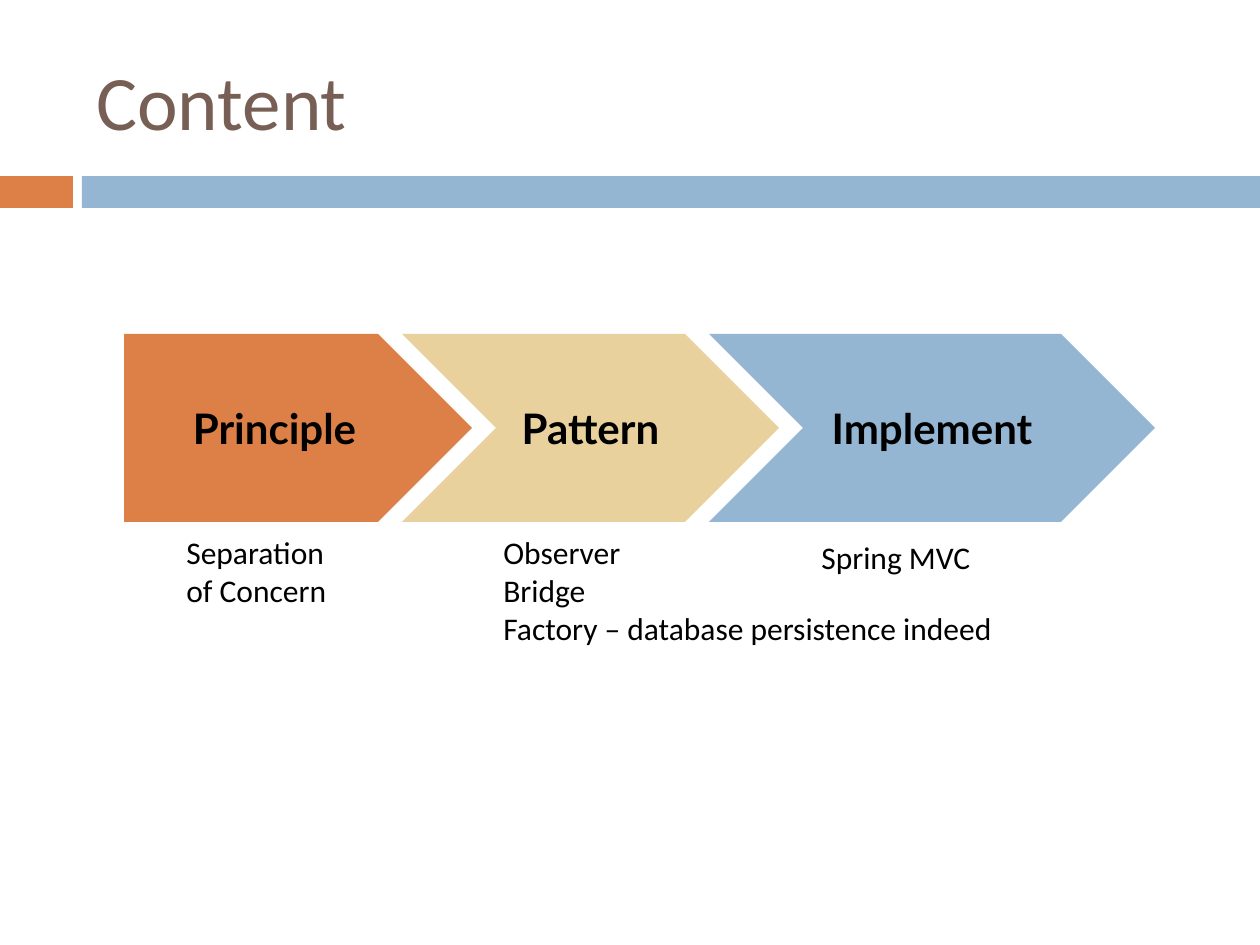
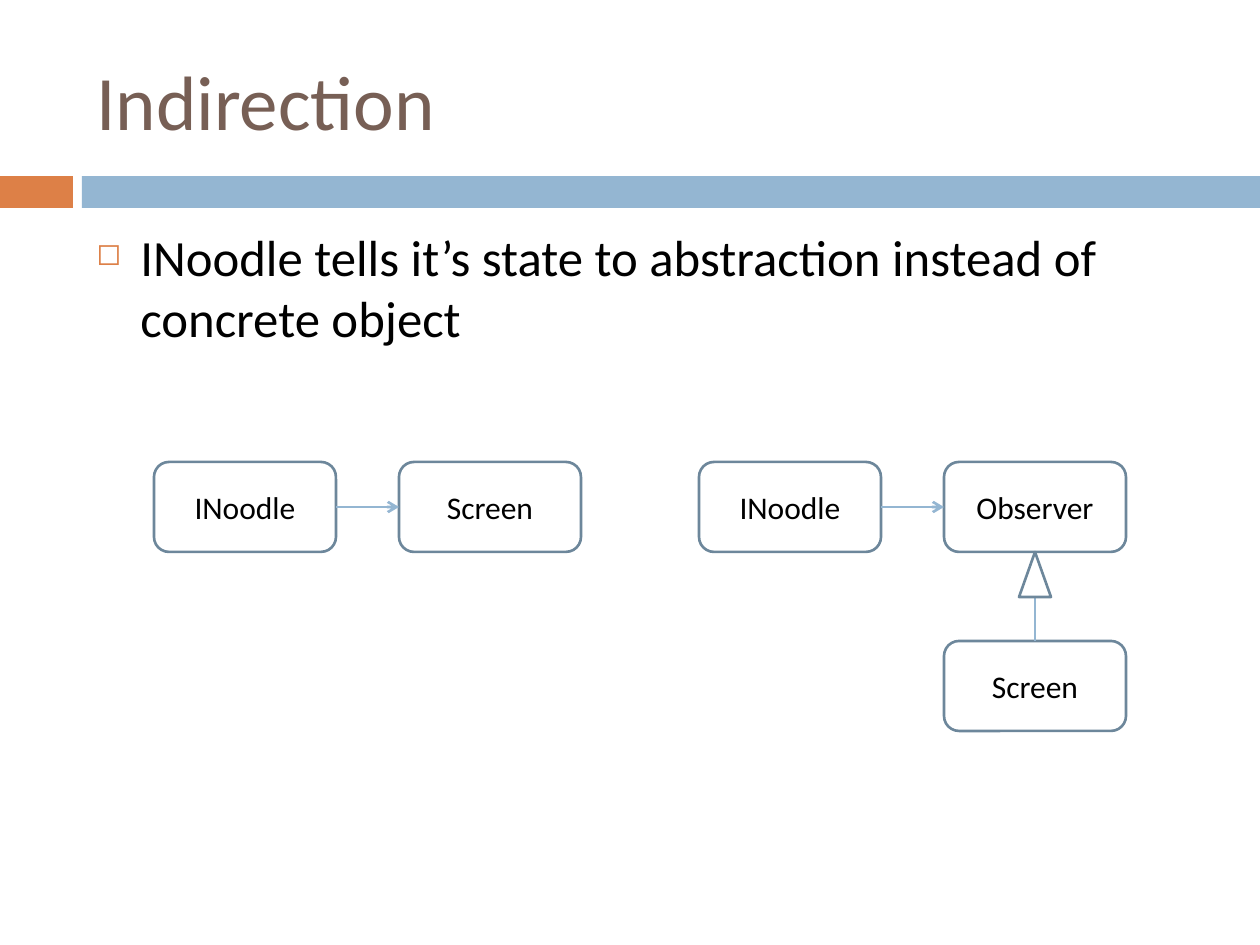
"""Build two slides: a three-step content overview and an indirection diagram."""
import dataclasses

import pptx
import pptx.dml.color
import pptx.enum.shapes
import pptx.enum.text
import pptx.oxml
import pptx.oxml.ns
import pptx.slide
import pptx.util

RGBColor = pptx.dml.color.RGBColor
SHAPES = pptx.enum.shapes.MSO_SHAPE
ALIGN = pptx.enum.text.PP_ALIGN
ANCHOR = pptx.enum.text.MSO_ANCHOR

ORANGE = RGBColor(0xDD, 0x80, 0x47)
BLUE = RGBColor(0x94, 0xB6, 0xD2)
SAND = RGBColor(0xE8, 0xD1, 0x9D)
BROWN = RGBColor(0x77, 0x5F, 0x55)
SLATE = RGBColor(0x6D, 0x87, 0x9B)
BLACK = RGBColor(0, 0, 0)
WHITE = RGBColor(255, 255, 255)

PIXEL = 914400 / 126
BOX_WIDTH, BOX_HEIGHT = 182, 90
BOX_PITCH = 245


def emu(*pixels):
    return [pptx.util.Emu(round(value * PIXEL)) for value in pixels]


def add_xml(parent, tag, **attributes):
    child = pptx.oxml.parse_xml(f"<a:{tag} {pptx.oxml.ns.nsdecls('a')}/>")
    for name, value in attributes.items():
        child.set(name, str(value))
    parent.append(child)
    return child


def write_text(shape, text, size=18, font="Calibri", color=BLACK, bold=False,
               align=ALIGN.LEFT, anchor=ANCHOR.TOP, wrap=True):
    frame = shape.text_frame
    frame.text = text
    frame.word_wrap = wrap
    frame.vertical_anchor = anchor
    for paragraph in frame.paragraphs:
        paragraph.alignment = align
        for run in paragraph.runs:
            run.font.name = font
            run.font.size = pptx.util.Pt(size)
            run.font.bold = bold
            run.font.color.rgb = color
    return frame


@dataclasses.dataclass
class Deck:
    presentation: pptx.presentation.Presentation
    slide: pptx.slide.Slide = None

    def start_slide(self, title):
        self.slide = self.presentation.slides.add_slide(self.presentation.slide_layouts[6])
        self.shape(SHAPES.RECTANGLE, 0, 176, 73, 32, ORANGE)
        self.shape(SHAPES.RECTANGLE, 82, 176, 1178, 32, BLUE)
        self.text(title, 84, 32, 1124, 136, size=44, color=BROWN, anchor=ANCHOR.MIDDLE)

    def shape(self, kind, left, top, width, height, fill, line=None):
        shape = self.slide.shapes.add_shape(kind, *emu(left, top, width, height))
        shape.shadow.inherit = False
        shape.fill.solid()
        shape.fill.fore_color.rgb = fill
        if line is None:
            shape.line.fill.background()
        else:
            shape.line.color.rgb = line
            shape.line.width = pptx.util.Pt(1.5)
        return shape

    def text(self, text, left, top, width, height, **style):
        box = self.slide.shapes.add_textbox(*emu(left, top, width, height))
        return write_text(box, text, **style)

    def bullet(self, text, left, top, width, height, **style):
        frame = self.text(text, left, top, width, height, **style)
        indent = emu(44)[0]
        for paragraph in frame.paragraphs:
            paragraph.space_before = pptx.util.Pt(7)
            properties = paragraph._p.get_or_add_pPr()
            properties.set("marL", str(indent))
            properties.set("indent", str(-indent))
            add_xml(add_xml(properties, "buClr"), "srgbClr", val=ORANGE)
            add_xml(properties, "buSzPct", val=60000)
            add_xml(properties, "buChar", char="◻")

    def step(self, kind, name, left, width, fill):
        arrow = self.shape(kind, left, 334, width, 188, fill)
        write_text(arrow, name, size=24, font="Lato", bold=True,
                   align=ALIGN.CENTER, anchor=ANCHOR.MIDDLE)

    def class_box(self, name, left, top):
        box = self.shape(SHAPES.ROUNDED_RECTANGLE, left, top, BOX_WIDTH, BOX_HEIGHT, WHITE, SLATE)
        write_text(box, name, align=ALIGN.CENTER, anchor=ANCHOR.MIDDLE)

    def line(self, start, end, arrow=False):
        straight = pptx.enum.shapes.MSO_CONNECTOR.STRAIGHT
        connector = self.slide.shapes.add_connector(straight, *emu(*start, *end))
        connector.line.color.rgb = BLUE
        connector.line.width = pptx.util.Pt(1.5)
        if arrow:
            add_xml(connector.line._get_or_add_ln(), "tailEnd", type="arrow")
        add_xml(connector._element.spPr, "effectLst")

    def class_pair(self, source, target, left, top):
        middle = top + BOX_HEIGHT / 2
        self.class_box(source, left, top)
        self.class_box(target, left + BOX_PITCH, top)
        self.line((left + BOX_WIDTH, middle), (left + BOX_PITCH, middle), arrow=True)


def build_content(deck):
    deck.start_slide("Content")
    left, overlap = 124, 70
    for kind, name, width, fill in (
        (SHAPES.PENTAGON, "Principle", 348, ORANGE),
        (SHAPES.CHEVRON, "Pattern", 377, SAND),
        (SHAPES.CHEVRON, "Implement", 446, BLUE),
    ):
        deck.step(kind, name, left, width, fill)
        left += width - overlap
    deck.text("Separation\vof Concern", 174, 527, 174, 89, wrap=False)
    deck.text("Observer\nBridge\nFactory – database persistence indeed",
              491, 527, 519, 127, wrap=False)
    deck.text("Spring MVC", 809, 532, 179, 50, wrap=False)


def build_indirection(deck):
    deck.start_slide("Indirection")
    deck.bullet("INoodle tells it’s state to abstraction instead of concrete object",
                84, 220, 1124, 620, size=29)
    top, screen_top, right_pair = 462, 641, 699
    deck.class_pair("INoodle", "Screen", 154, top)
    deck.class_pair("INoodle", "Observer", right_pair, top)

    observer_left = right_pair + BOX_PITCH
    center, bottom = observer_left + BOX_WIDTH / 2, top + BOX_HEIGHT
    deck.class_box("Screen", observer_left, screen_top)
    deck.line((center, screen_top), (center, bottom))
    deck.shape(SHAPES.ISOSCELES_TRIANGLE, center - 16, bottom, 32, 45, WHITE, SLATE)


def main():
    presentation = pptx.Presentation()
    presentation.slide_width, presentation.slide_height = emu(1260, 945)
    deck = Deck(presentation)
    build_content(deck)
    build_indirection(deck)
    presentation.save("out.pptx")


if __name__ == "__main__":
    main()
